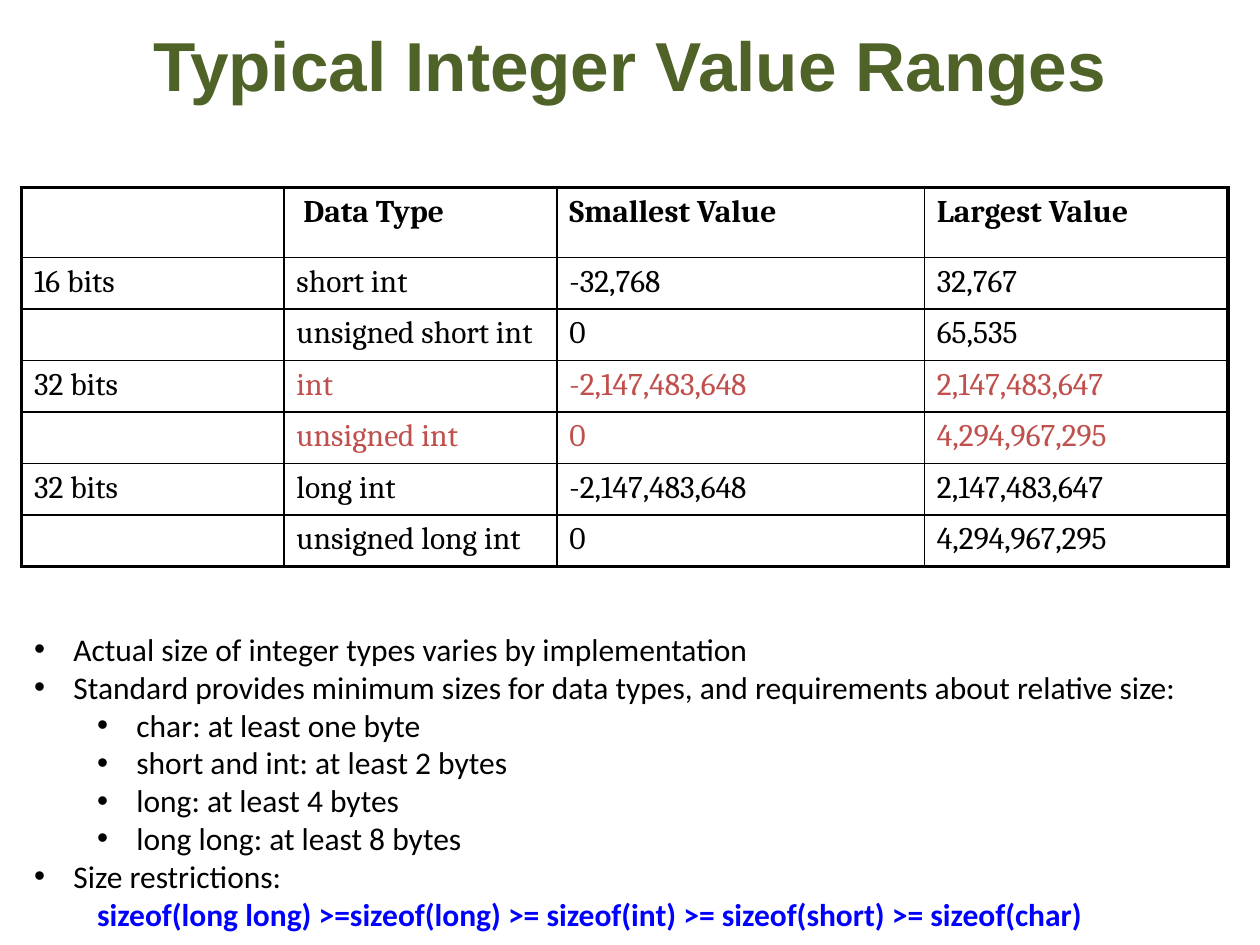
from lxml import etree
from pptx import Presentation
from pptx.dml.color import RGBColor
from pptx.enum.text import MSO_ANCHOR, MSO_AUTO_SIZE, PP_ALIGN
from pptx.oxml.ns import qn
from pptx.util import Pt

MIDDLE, TOP = MSO_ANCHOR.MIDDLE, MSO_ANCHOR.TOP
GROW, FIXED = MSO_AUTO_SIZE.SHAPE_TO_FIT_TEXT, MSO_AUTO_SIZE.NONE
CENTER, LEFT = PP_ALIGN.CENTER, PP_ALIGN.LEFT

BLACK = RGBColor(0x00, 0x00, 0x00)
GREEN = RGBColor(0x4F, 0x62, 0x28)
RED = RGBColor(0xC0, 0x50, 0x4D)
BLUE = RGBColor(0x00, 0x00, 0xFF)

THIN, THICK = 1, 2.25
INDENT, LEVEL_STEP = 22.5, 36

COLUMNS = [150, 156, 210, 173.5]
HEADER_HEIGHT, ROW_HEIGHT = 40, 29.4
ROWS = [
    ["", " Data Type", "Smallest Value", "Largest Value"],
    ["16 bits", "short int", "-32,768", "32,767"],
    ["", "unsigned short int", "0", "65,535"],
    ["32 bits", "int", "-2,147,483,648", "2,147,483,647"],
    ["", "unsigned int", "0", "4,294,967,295"],
    ["32 bits", "long int", "-2,147,483,648", "2,147,483,647"],
    ["", "unsigned long int", "0", "4,294,967,295"],
]
RED_ROWS = (3, 4)

NOTES = [
    (0, "Actual size of integer types varies by implementation"),
    (0, "Standard provides minimum sizes for data types, and requirements about relative size:"),
    (1, "char: at least one byte"),
    (1, "short and int: at least 2 bytes"),
    (1, "long: at least 4 bytes"),
    (1, "long long: at least 8 bytes"),
    (0, "Size restrictions:"),
]
FORMULA = "sizeof(long long) >=sizeof(long) >= sizeof(int) >= sizeof(short) >= sizeof(char)"


class Deck:
    title_font, table_font, body_font = "Arial", "Cambria", "Calibri"
    title_size, text_size = 39.6, 18

    def __init__(self, width, height):
        self.prs = Presentation()
        self.prs.slide_width, self.prs.slide_height = Pt(width), Pt(height)
        self.s = self.prs.slides.add_slide(self.prs.slide_layouts[1])

    def place(self, sp, x, y, w, h):
        sp.left, sp.top, sp.width, sp.height = Pt(x), Pt(y), Pt(w), Pt(h)

    def style(self, p, font, size, color=BLACK, bold=False):
        for r in p.runs:
            r.font.name, r.font.size = font, Pt(size)
            r.font.color.rgb, r.font.bold = color, bold

    def title(self, text, *box):
        sp = self.s.shapes.title
        self.place(sp, *box)
        tf = sp.text_frame
        tf.text = text
        tf.auto_size, tf.vertical_anchor = FIXED, MIDDLE
        p = tf.paragraphs[0]
        p.alignment = CENTER
        self.style(p, self.title_font, self.title_size, GREEN, True)

    def borders(self, cell, widths):
        tcPr = cell._tc.get_or_add_tcPr()
        for side, width in zip("LRTB", widths):
            ln = etree.SubElement(tcPr, qn("a:ln" + side), w=str(Pt(width)))
            fill = etree.SubElement(ln, qn("a:solidFill"))
            etree.SubElement(fill, qn("a:srgbClr"), val=str(BLACK))

    def table(self, rows, columns, x, y):
        heights = [HEADER_HEIGHT] + [ROW_HEIGHT] * (len(rows) - 1)
        frame = self.s.shapes.add_table(len(rows), len(columns), Pt(x), Pt(y),
                                        Pt(sum(columns)), Pt(sum(heights)))
        tbl = frame.table
        tbl.first_row = tbl.horz_banding = False
        for column, width in zip(tbl.columns, columns):
            column.width = Pt(width)
        last_row, last_col = len(rows) - 1, len(columns) - 1
        for i, values in enumerate(rows):
            tbl.rows[i].height = Pt(heights[i])
            for j, value in enumerate(values):
                cell = tbl.cell(i, j)
                cell.text = value
                color = RED if i in RED_ROWS and j > 0 else BLACK
                self.style(cell.text_frame.paragraphs[0], self.table_font,
                           self.text_size, color, i == 0)
                # The outer frame is heavier than the inner grid
                outer = (j == 0, j == last_col, i == 0, i == last_row)
                self.borders(cell, [THICK if edge else THIN for edge in outer])
                cell.fill.background()

    def bullets(self, items, closing, *box):
        sp = self.s.placeholders[1]
        self.place(sp, *box)
        tf = sp.text_frame
        tf.text = "\n".join([text for _, text in items] + [closing])
        tf.auto_size, tf.vertical_anchor, tf.word_wrap = GROW, TOP, True
        for p, (level, _) in zip(tf.paragraphs, items):
            p.level = level
            self.bullet(p, level * LEVEL_STEP + INDENT, -INDENT, "•")
            self.style(p, self.body_font, self.text_size)
        # The closing formula is indented and has no bullet
        p = tf.paragraphs[-1]
        self.bullet(p, LEVEL_STEP, 0)
        self.style(p, self.body_font, self.text_size, BLUE, True)

    def bullet(self, p, margin, indent, char=None):
        p.alignment, p.space_before = LEFT, Pt(0)
        pPr = p._p.get_or_add_pPr()
        pPr.set("marL", str(Pt(margin)))
        pPr.set("indent", str(Pt(indent)))
        if char:
            etree.SubElement(pPr, qn("a:buFont"), typeface="Arial")
            etree.SubElement(pPr, qn("a:buChar"), char=char)
        else:
            etree.SubElement(pPr, qn("a:buNone"))


def main():
    deck = Deck(720, 540)
    deck.title("Typical Integer Value Ranges", 36, 12.24, 648, 48.24)
    deck.table(ROWS, COLUMNS, 12.24, 107.28)
    deck.bullets(NOTES, FORMULA, 12.24, 356.4, 689.5, 181.44)
    deck.prs.save("out.pptx")


if __name__ == "__main__":
    main()
